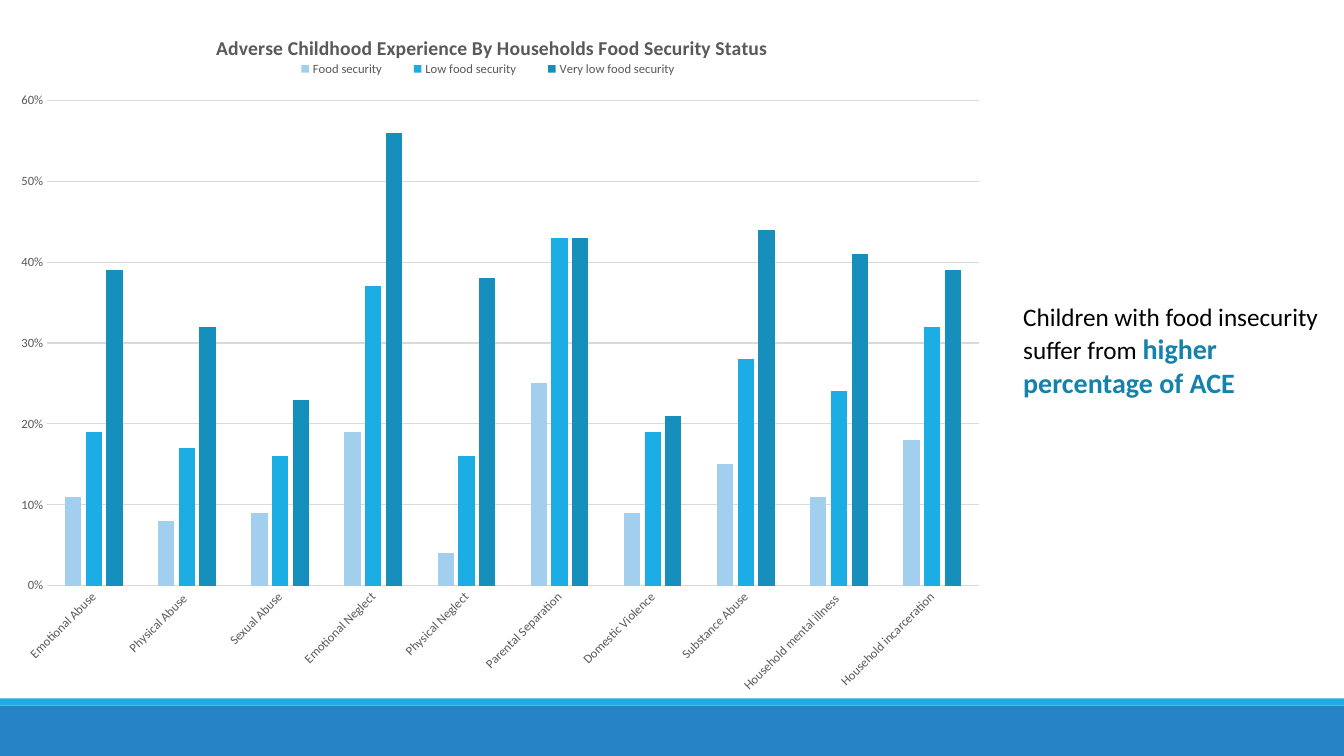
from lxml.etree import SubElement
from pptx import Presentation
from pptx.chart.data import CategoryChartData
from pptx.dml.color import RGBColor
from pptx.enum.chart import XL_CHART_TYPE as ChartType, XL_LEGEND_POSITION as LegendPosition
from pptx.enum.chart import XL_TICK_MARK as TickMark
from pptx.enum.shapes import MSO_SHAPE as Shape
from pptx.oxml.ns import qn
from pptx.util import Inches, Pt

COLORS = {
    "band": "2683C6", "stripe": "1CADE4", "grid": "D9D9D9", "label": "595959",
    "text": "000000", "accent": "1482AC",
    "Food security": "A2CFEE", "Low food security": "1CADE4",
    "Very low food security": "178FBD",
}


def format_font(font, color, **values):
    font.color.rgb = RGBColor.from_string(COLORS[color])
    for name, value in {"name": "Calibri", **values}.items():
        setattr(font, name, value)


def place(element, index, **values):
    for layout in element.findall(qn("c:layout")):
        element.remove(layout)
    layout = element.makeelement(qn("c:layout"))
    element.insert(index, layout)
    manual = SubElement(layout, qn("c:manualLayout"))
    for name, value in values.items():
        SubElement(manual, qn("c:" + name)).set("val", str(value))


presentation = Presentation()
presentation.slide_width = Inches(13.33)
presentation.slide_height = Inches(7.5)
slide = presentation.slides.add_slide(presentation.slide_layouts[6])

for color, top, height in [("band", 7, 0.5), ("stripe", 6.93, 0.07)]:
    bar = slide.shapes.add_shape(Shape.RECTANGLE, 0, Inches(top), Inches(13.33), Inches(height))
    bar.shadow.inherit = False
    bar.fill.solid()
    bar.fill.fore_color.rgb = RGBColor.from_string(COLORS[color])
    bar.line.fill.background()

chart_data = CategoryChartData(number_format="0%")
chart_data.categories = [
    "Emotional Abuse", "Physical Abuse ", "Sexual Abuse", "Emotional Neglect",
    "Physical Neglect", "Parental Separation", "Domestic Violence", "Substance Abuse",
    "Household mental illness ", "Household incarceration",
]
for name, values in {
    "Food security": [0.11, 0.08, 0.09, 0.19, 0.04, 0.25, 0.09, 0.15, 0.11, 0.18],
    "Low food security": [0.19, 0.17, 0.16, 0.37, 0.16, 0.43, 0.19, 0.28, 0.24, 0.32],
    "Very low food security": [0.39, 0.32, 0.23, 0.56, 0.38, 0.43, 0.21, 0.44, 0.41, 0.39],
}.items():
    chart_data.add_series(name, values)

chart = slide.shapes.add_chart(
    ChartType.COLUMN_CLUSTERED, Inches(-0.22), Inches(0.06), Inches(10.12), Inches(6.93), chart_data
).chart
format_font(chart.font, "text", size=Pt(10))

plot = chart.plots[0]
plot.gap_width = 219
plot.overlap = -27
plot.vary_by_categories = False
for series in plot.series:
    series.format.fill.solid()
    series.format.fill.fore_color.rgb = RGBColor.from_string(COLORS[series.name])

chart.has_title = True
title = chart.chart_title
title.text_frame.text = "Adverse Childhood Experience By Households Food Security Status"
format_font(title.text_frame.paragraphs[0].runs[0].font, "label", size=Pt(14), bold=True)

chart.has_legend = True
legend = chart.legend
legend.position = LegendPosition.BOTTOM
legend.include_in_layout = False
format_font(legend.font, "label", size=Pt(9))

category_axis, value_axis = chart.category_axis, chart.value_axis
for axis in (category_axis, value_axis):
    axis.major_tick_mark = axis.minor_tick_mark = TickMark.NONE
    format_font(axis.tick_labels.font, "label", size=Pt(9), bold=False)
value_axis.minimum_scale = 0
value_axis.maximum_scale = 0.6
value_axis.major_unit = 0.1
value_axis.tick_labels.number_format = "0%"
value_axis.tick_labels.number_format_is_linked = False
value_axis.format.line.fill.background()
for line in (category_axis.format.line, value_axis.major_gridlines.format.line):
    line.color.rgb = RGBColor.from_string(COLORS["grid"])
    line.width = Pt(0.75)

chart_space = category_axis._element.getroottree().getroot()
labels = category_axis._element.find(qn("c:txPr")).find(qn("a:bodyPr"))
labels.set("rot", "-2700000")
labels.set("vert", "horz")
place(chart_space.find(".//" + qn("c:plotArea")), 0, layoutTarget="inner", xMode="edge",
      yMode="edge", x=0.068, y=0.135, w=0.913, h=0.695)
place(chart_space.find(".//" + qn("c:title")), 1, xMode="edge", yMode="edge", x=0.23, y=0.035)
place(chart_space.find(".//" + qn("c:legend")), 1, xMode="edge", yMode="edge",
      x=0.29, y=0.07, w=0.42, h=0.04)

message = slide.shapes.add_textbox(Inches(10.05), Inches(2.94), Inches(3.28), Inches(1.08))
message.text_frame.word_wrap = True
paragraph = message.text_frame.paragraphs[0]
for text, color, size, bold in [
    ("Children with food insecurity suffer from ", "text", 18, False),
    ("higher percentage of ACE", "accent", 20, True),
]:
    run = paragraph.add_run()
    run.text = text
    format_font(run.font, color, size=Pt(size), bold=bold)

presentation.save("out.pptx")
